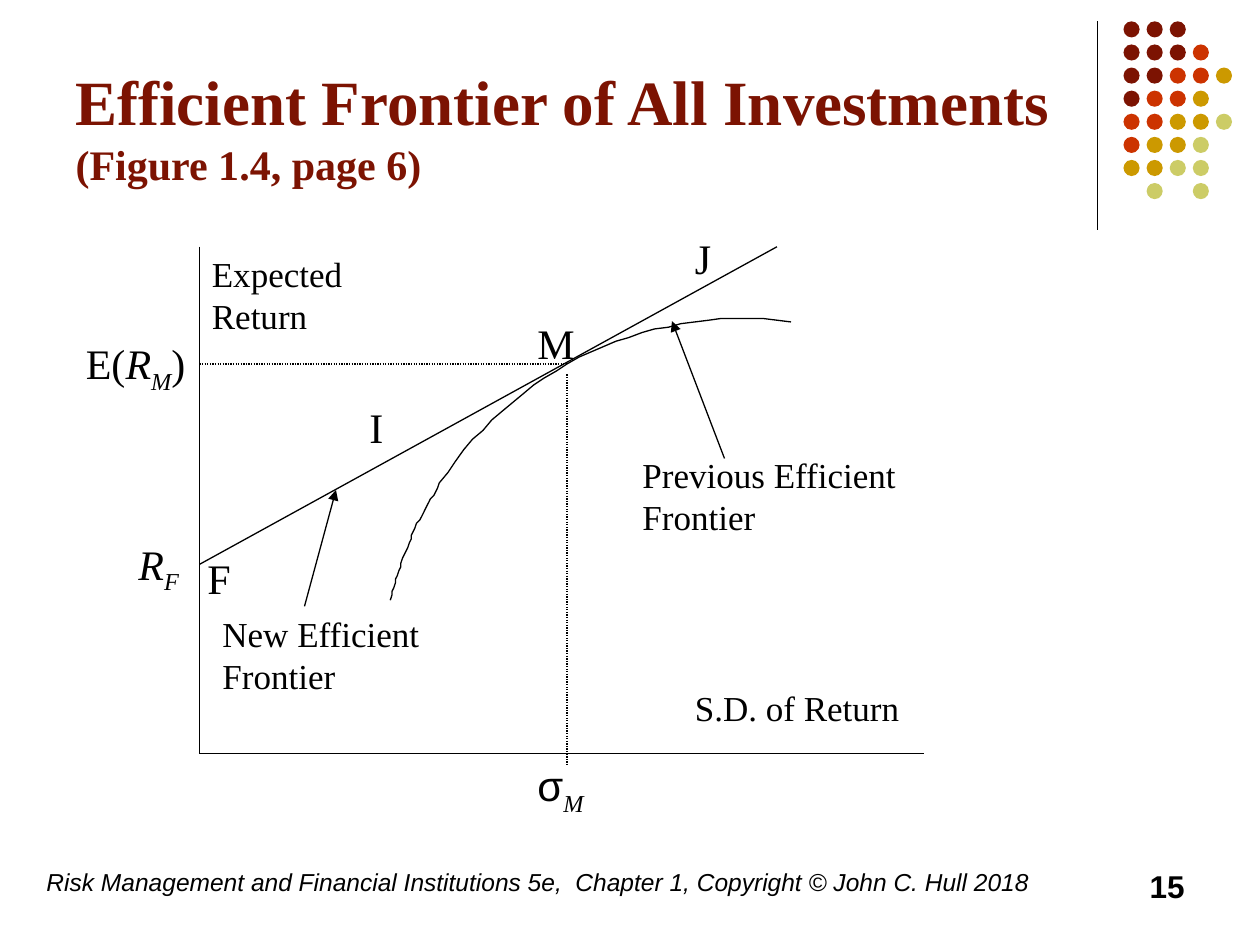
from pptx import Presentation
from pptx.dml.color import RGBColor
from pptx.enum import dml, shapes, text
from pptx.oxml import ns
from pptx.util import Pt
from lxml import etree

SERIF, SANS = "Times New Roman", "Arial"
BLACK, MAROON = "000000", "7C1302"
HUES = {"m": MAROON, "r": "CC3300", "g": "CC9900", "y": "CCCC66"}


def paint(target, color):
    """Apply a hex colour to a fill, a line or a font."""
    if hasattr(target, "solid"):
        target.solid()
        target = target.fore_color
    else:
        target = target.color
    target.rgb = RGBColor.from_string(color)


def sub(parent, tag, **attrs):
    return etree.SubElement(parent, ns.qn(tag), **attrs)


def style(run, size, font=SERIF, color=BLACK, bold=False, ital=False):
    run.font.size, run.font.name = Pt(size), font
    run.font.bold, run.font.italic = bold, ital
    paint(run.font, color)


def draw_line(slide, start, end, dots=False, arrow=False):
    line = slide.shapes.add_connector(
        shapes.MSO_CONNECTOR.STRAIGHT, *map(Pt, start + end))
    line.line.width = Pt(0.75)
    paint(line.line, BLACK)
    if dots:
        line.line.dash_style = dml.MSO_LINE.ROUND_DOT
    if arrow:
        sub(line.line._get_or_add_ln(), "a:tailEnd", type="triangle")
    sub(line._element.spPr, "a:effectLst")


def add_box(slide, box):
    frame = slide.shapes.add_textbox(*map(Pt, box)).text_frame
    frame.word_wrap = True
    return frame


def add_label(slide, box, size, parts):
    """Parts are (text, marks): i italic, s subscript, a sans."""
    frame = add_box(slide, box)
    para = frame.paragraphs[0]
    for words, marks in parts:
        run = para.add_run()
        run.text = words
        style(run, size, SANS if "a" in marks else SERIF, ital="i" in marks)
        if "s" in marks:
            run._r.get_or_add_rPr().set("baseline", "-25000")
    space = sub(para._p.get_or_add_pPr(), "a:spcBef")
    sub(space, "a:spcPct", val="50000")


def add_title(slide, box):
    title = slide.shapes.title
    title.left, title.top, title.width, title.height = map(Pt, box)
    frame = title.text_frame
    frame.word_wrap = True
    frame.auto_size = text.MSO_AUTO_SIZE.NONE
    frame.vertical_anchor = text.MSO_ANCHOR.BOTTOM
    para = frame.paragraphs[0]
    para.alignment = text.PP_ALIGN.LEFT
    for words, size in (("Efficient Frontier of All Investments ", 36),
                        ("(Figure 1.4, page 6)", 24)):
        run = para.add_run()
        run.text = words
        style(run, size, color=MAROON, bold=True)


def add_dots(slide, box):
    """Rule with a grid of coloured dots to its right."""
    x, y, height = box
    draw_line(slide, (x, y), (x, y + height))
    rows = ("mmm", "mmmr", "mmrrg", "mrrg", "rrggy", "rggy", "ggyy", " y y")
    step, size = 13.2, 9.2
    for i, row in enumerate(rows):
        for j, key in enumerate(row):
            if key == " ":
                continue
            dot = slide.shapes.add_shape(
                shapes.MSO_SHAPE.OVAL, Pt(x + 15 + j * step),
                Pt(y + i * step), Pt(size), Pt(size))
            dot.shadow.inherit = False
            paint(dot.fill, HUES[key])
            dot.line.fill.background()


def bezier(a, b, c, d, steps=30):
    """Points after a on a cubic curve."""
    for i in range(1, steps + 1):
        t = i / steps
        s = 1 - t
        yield tuple(s**3 * p + 3 * s * s * t * q + 3 * s * t * t * r + t**3 * e
                    for p, q, r, e in zip(a, b, c, d))


def add_graph(slide, box):
    x, y, width, height = box

    def at(point):
        return x + point[0], y + point[1]

    # Axes, tangent, guides and pointers
    mx, my = 210, 67
    for start, end, opts in (
            ((0, 0), (0, height), {}),
            ((0, height), (width, height), {}),
            ((0, 181.5), (330, 0), {}),
            ((0, my), (mx, my), {"dots": True}),
            ((mx, my + 6), (mx, height + 6.5), {"dots": True}),
            ((300, 121), (270, 42.5), {"arrow": True}),
            ((60, 205.5), (78, 139), {"arrow": True})):
        draw_line(slide, at(start), at(end), **opts)

    # Previous frontier
    first, mid = (338, 42.6), (137.3, 135.5)
    curve = [*bezier(first, (258.2, 32.5), (180.5, 68.5), mid),
             *bezier(mid, (124.3, 155.6), (115, 178), (109.2, 201.7))]
    form = slide.shapes.build_freeform(*at(first), scale=Pt(1))
    form.add_line_segments([at(p) for p in curve], close=False)
    arc = form.convert_to_shape()
    arc.shadow.inherit = False
    arc.fill.background()
    arc.line.width = Pt(0.75)
    paint(arc.line, BLACK)

    # Labels
    for left, top, wide, size, parts in (
            (0, 0, 114, 20, [("Expected Return", "")]),
            (276, 248, 150, 20, [("S.D. of Return", "")]),
            (246, 114.5, 168, 20, [("Previous Efficient Frontier", "")]),
            (6, 205.5, 162, 20, [("New Efficient Frontier", "")]),
            (-42, 163, 54, 24, [("R", "i"), ("F", "is")]),
            (-72, 48.5, 78, 24,
             [("E(", ""), ("R", "i"), ("M", "is"), (")", "")]),
            (186, 289.5, 78, 24, [("σ", "a"), ("M", "is")]),
            (-2.5, 171, 41, 24, [("F", "")]),
            (186, 37, 48, 24, [("M", "")]),
            (90, 85, 30, 24, [("I", "")]),
            (276, -11.5, 30, 24, [("J", "")])):
        tall = 55.5 if len(parts[0][0]) > 14 else size * 1.5
        add_label(slide, (*at((left, top)), wide, tall), size, parts)


def add_footer(slide, box):
    x, y, width, height = box
    note = add_box(slide, (x, y, 595.5, height))
    note.text = ("Risk Management and Financial Institutions 5e,  "
                 "Chapter 1, Copyright © John C. Hull 2018")
    style(note.paragraphs[0].runs[0], 14, SANS, ital=True)
    page = add_box(slide, (x + width - 168, y, 168, height))
    page.text = "15"
    page.paragraphs[0].alignment = text.PP_ALIGN.RIGHT
    style(page.paragraphs[0].runs[0], 18, SANS, bold=True)


deck = Presentation()
deck.slide_width, deck.slide_height = Pt(720), Pt(540)
slide = deck.slides.add_slide(deck.slide_layouts[5])
add_dots(slide, (627, 12.2, 119.5))
add_title(slide, (36, 9.5, 594, 102))
add_footer(slide, (19.5, 492, 664.5, 36))
add_graph(slide, (114, 141, 414, 289.5))
deck.save("out.pptx")
